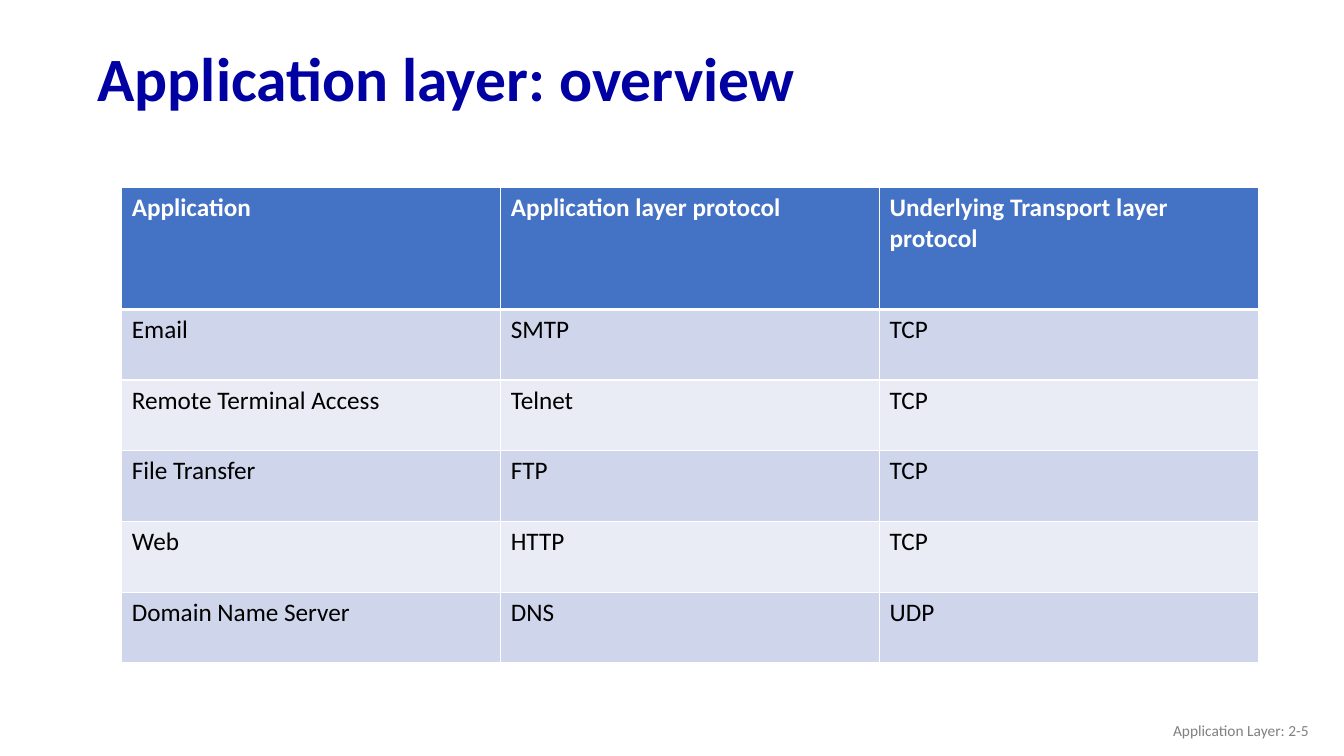
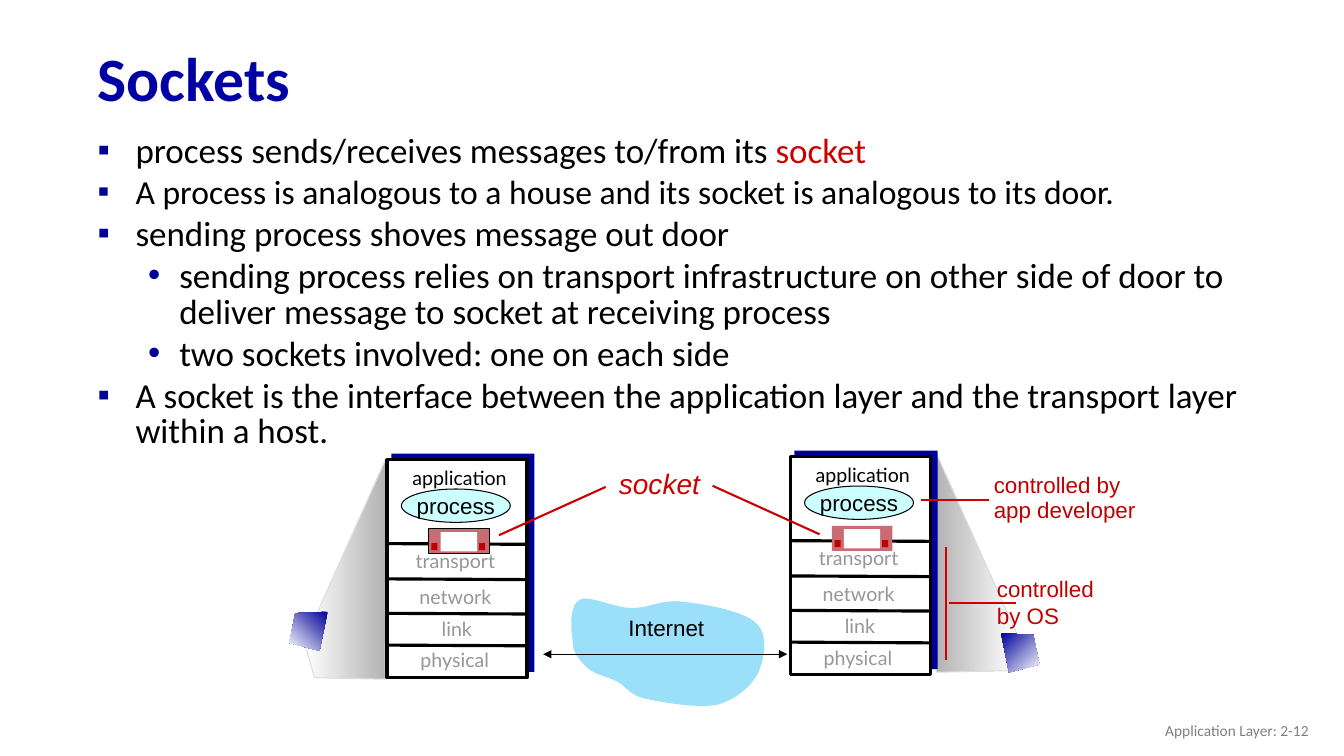
from lxml import etree
from pptx import Presentation
from pptx.dml.color import RGBColor
from pptx.enum.shapes import MSO_CONNECTOR, MSO_SHAPE
from pptx.enum.text import MSO_ANCHOR, MSO_AUTO_SIZE, PP_ALIGN
from pptx.oxml.ns import qn
from pptx.util import Pt

RECTANGLE, OVAL = MSO_SHAPE.RECTANGLE, MSO_SHAPE.OVAL
STRAIGHT = MSO_CONNECTOR.STRAIGHT
MIDDLE, TOP = MSO_ANCHOR.MIDDLE, MSO_ANCHOR.TOP
LEFT, CENTER, RIGHT = PP_ALIGN.LEFT, PP_ALIGN.CENTER, PP_ALIGN.RIGHT
NO_AUTOFIT = MSO_AUTO_SIZE.NONE
BULLET_PAGE, TITLE_PAGE = 1, 5

COLORS = {
    "title": "0000A3", "navy": "000099", "black": "000000", "white": "FFFFFF",
    "footer": "808080", "header": "4472C4", "band": "CFD5EA", "pale": "E9EBF5",
    "red": "CC0000", "crimson": "C00000", "cloud": "9CDFF9", "mint": "CCFFFF",
    "rose": "C96B72", "layer": "969696", "shade": "B2B2B2", "edge": "DDDDDD",
}
BULLETS = [("▪", 27, -27), ("•", 58.3, -22.3)]

PROTOCOLS = [
    ("Application", "Application layer protocol", "Underlying Transport layer protocol"),
    ("Email", "SMTP", "TCP"),
    ("Remote Terminal Access", "Telnet", "TCP"),
    ("File Transfer", "FTP", "TCP"),
    ("Web", "HTTP", "TCP"),
    ("Domain Name Server", "DNS", "UDP"),
]
SOCKET_POINTS = [
    (0, 25, [("process sends/receives messages to/from its ", "black"), ("socket", "red")]),
    (0, 24, [("A process is analogous to a house and its socket is analogous to its door.", "black")]),
    (0, 25, [("sending process shoves message out door", "black")]),
    (1, 25, [("sending process relies on transport infrastructure on other side of door "
              "to deliver message to socket at receiving process", "black")]),
    (1, 25, [("two sockets involved: one on each side", "black")]),
    (0, 25, [("A socket is the interface between the application layer and the transport "
              "layer within a host.", "black")]),
]
LAYERS = [("application", 0, -0.5, "black"), ("transport", -3, 58.3, "layer"),
          ("network", -3, 84.2, "layer"), ("link", -2, 107.3, "layer"),
          ("physical", -3.5, 129.6, "layer")]
LAYER_LINES = [60, 85.2, 109.8, 132.5]
CLOUD_START = (409, 456.5)
CLOUD_CURVES = [
    ((407.5, 448.6), (406.8, 432), (414, 428.4)),
    ((421.2, 424.8), (438.5, 434.2), (450.7, 434.2)),
    ((463, 434.9), (472.3, 427.7), (487.4, 429.8)),
    ((502.6, 431.3), (531.4, 436.3), (540, 445)),
    ((549.4, 452.9), (545.8, 470.9), (541.4, 481)),
    ((536.4, 490.3), (525.6, 499.7), (512.6, 503.3)),
    ((499, 506.2), (473, 501.8), (460.8, 499)),
    ((449.3, 496.1), (447.1, 490.3), (440.6, 486.7)),
    ((433.4, 483.1), (424.1, 481.7), (419, 476.6)),
    ((414, 471.6), (408.2, 465.1), CLOUD_START),
]
FAN = [(0, 0), (58.5, 131), (51, 156.5), (0.7, 157.6)]
DEVICE = [(0, 0), (23, 1), (27.4, 22.2), (5.8, 28)]


def rgb(name):
    return RGBColor.from_string(COLORS[name])


def points(*values):
    return [Pt(value) for value in values]


def smooth_outline(start, curves, steps=10):
    outline = [start]
    for first, second, end in curves:
        origin = outline[-1]
        for step in range(1, steps + 1):
            t = step / steps
            weights = ((1 - t) ** 3, 3 * t * (1 - t) ** 2, 3 * t * t * (1 - t), t ** 3)
            corners = (origin, first, second, end)
            outline.append(tuple(sum(w * corner[axis] for w, corner in zip(weights, corners))
                                 for axis in (0, 1)))
    return outline


def mirrored(outline, corner, side):
    return [(corner[0] + side * x, corner[1] + y) for x, y in outline]


class Lecture:
    """Holds the lecture style and the slide being drawn."""

    def __init__(self):
        self.deck = Presentation()
        self.deck.slide_width, self.deck.slide_height = points(960, 540)
        self.page = None

    def new_page(self, layout, title, number):
        self.page = self.deck.slides.add_slide(self.deck.slide_layouts[layout])
        box = self.page.shapes.title
        self.place(box, 62.6, 23, 828, 70.6)
        box.text_frame.auto_size = NO_AUTOFIT
        box.text_frame.vertical_anchor = MIDDLE
        box.text_frame.text = title
        self.style(box.text_frame.paragraphs[0], 44, "title", bold=True, spacing=0.9)
        self.label(f"Application Layer: {number}", (726, 507.6, 216, 28.8), 11, "footer",
                   font="Calibri", align=RIGHT, anchor=MIDDLE)

    def place(self, box, *bounds):
        box.left, box.top, box.width, box.height = points(*bounds)

    def style(self, para, size, color, font="Calibri", align=LEFT, spacing=None,
              bold=False, italic=False):
        para.alignment = align
        if spacing:
            para.line_spacing = spacing
        para.font.name, para.font.size = font, Pt(size)
        para.font.bold, para.font.italic = bold, italic
        para.font.color.rgb = rgb(color)

    def label(self, text, bounds, size, color, font="Arial", anchor=TOP, **look):
        frame = self.page.shapes.add_textbox(*points(*bounds)).text_frame
        frame.word_wrap = True
        frame.vertical_anchor = anchor
        frame.text = text
        for para in frame.paragraphs:
            self.style(para, size, color, font, **look)

    def bullets(self, items, *bounds):
        box = self.page.placeholders[1]
        self.place(box, *bounds)
        frame = box.text_frame
        frame.auto_size = NO_AUTOFIT
        for index, (level, size, spans) in enumerate(items):
            para = frame.add_paragraph() if index else frame.paragraphs[0]
            para.level = level
            para.space_before = Pt(4.5)
            symbol, margin, indent = BULLETS[level]
            properties = para._p.get_or_add_pPr()
            properties.set("marL", str(Pt(margin)))
            properties.set("indent", str(Pt(indent)))
            color = etree.SubElement(properties, qn("a:buClr"))
            etree.SubElement(color, qn("a:srgbClr"), val=COLORS["navy"])
            etree.SubElement(properties, qn("a:buFont"), typeface="Arial")
            etree.SubElement(properties, qn("a:buChar"), char=symbol)
            self.style(para, size, "black", spacing=0.85)
            for text, name in spans:
                span = para.add_run()
                span.text = text
                if name != "black":
                    span.font.color.rgb = rgb(name)

    def table(self, rows, bounds, header_height, row_height):
        grid = self.page.shapes.add_table(len(rows), len(rows[0]), *points(*bounds)).table
        for column in grid.columns:
            column.width = Pt(bounds[2] / len(rows[0]))
        for index, texts in enumerate(rows):
            grid.rows[index].height = Pt(row_height if index else header_height)
            fill = ("pale", "band")[index % 2] if index else "header"
            for column, text in enumerate(texts):
                cell = grid.cell(index, column)
                cell.text = text
                self.borders(cell, top=3 if index == 1 else 1, bottom=1 if index else 3)
                cell.fill.solid()
                cell.fill.fore_color.rgb = rgb(fill)
                self.style(cell.text_frame.paragraphs[0], 18,
                           "black" if index else "white", bold=not index)

    def borders(self, cell, top, bottom):
        properties = cell._tc.get_or_add_tcPr()
        for tag, width in (("lnL", 1), ("lnR", 1), ("lnT", top), ("lnB", bottom)):
            border = etree.SubElement(properties, qn(f"a:{tag}"), w=str(Pt(width)))
            fill = etree.SubElement(border, qn("a:solidFill"))
            etree.SubElement(fill, qn("a:srgbClr"), val=COLORS["white"])

    def paint(self, box, fill, line=None, width=0.75):
        box.shadow.inherit = False
        if fill:
            box.fill.solid()
            box.fill.fore_color.rgb = rgb(fill)
        if line:
            box.line.color.rgb = rgb(line)
            box.line.width = Pt(width)
        else:
            box.line.fill.background()

    def shape(self, kind, bounds, fill, line=None, width=0.75):
        box = self.page.shapes.add_shape(kind, *points(*bounds))
        self.paint(box, fill, line, width)
        return box

    def outline(self, corners, fill=None, line=None, gradient=None, angle=0):
        start, *others = [points(*corner) for corner in corners]
        builder = self.page.shapes.build_freeform(*start)
        builder.add_line_segments(others, close=True)
        box = builder.convert_to_shape()
        self.paint(box, fill, line)
        if gradient:
            box.fill.gradient()
            box.fill.gradient_angle = angle
            for stop, name in zip(box.fill.gradient_stops, gradient):
                stop.color.rgb = rgb(name)

    def line(self, start, end, color="red", width=1.5, arrows=False):
        link = self.page.shapes.add_connector(STRAIGHT, *points(*start, *end))
        link.line.color.rgb = rgb(color)
        link.line.width = Pt(width)
        if arrows:
            stroke = link.line._get_or_add_ln()
            for tag in ("a:headEnd", "a:tailEnd"):
                etree.SubElement(stroke, qn(tag), type="triangle")
        etree.SubElement(link._element.spPr, qn("a:effectLst"))

    def host(self, x, y, socket_line):
        self.shape(RECTANGLE, (x + 3, y - 4.3, 102.2, 156), "navy")
        self.shape(RECTANGLE, (x, y, 100, 155.5), "white", "black", 2.25)
        for drop in LAYER_LINES:
            self.line((x, y + drop), (x + 100, y + drop + 0.5), "black", 2.25)
        for name, shift, drop, color in LAYERS:
            self.label(name, (x + shift, y + drop, 103.7, 26), 14, color,
                       font="Lato", align=CENTER, spacing=1.1)
        process = self.shape(OVAL, (x + 10.2, y + 21, 77.8, 23.8), "mint", "black")
        frame = process.text_frame
        frame.word_wrap = False
        frame.vertical_anchor = MIDDLE
        frame.text = "process"
        self.style(frame.paragraphs[0], 16, "black", "Arial", CENTER)
        left, top = x + 29.7, y + 49.4
        self.shape(RECTANGLE, (left, top, 43.2, 18), "rose", socket_line)
        self.shape(RECTANGLE, (left + 8.6, top + 2.4, 26, 13.7), "white")
        for shift in (2, 36):
            self.shape(RECTANGLE, (left + shift, top + 10.3, 4.3, 5), "crimson")


def overview(lecture):
    lecture.new_page(TITLE_PAGE, "Application layer: overview", "2-5")
    lecture.table(PROTOCOLS, (87, 134, 812, 339), 87, 50.5)


def sockets(lecture):
    lecture.new_page(BULLET_PAGE, "Sockets", "2-12")
    lecture.bullets(SOCKET_POINTS, 62.6, 93, 863, 235)
    for corner, side, angle in (((668.2, 322.6), 1, 180), ((275.8, 327.6), -1, 0)):
        lecture.outline(mirrored(FAN, corner, side), line="edge",
                        gradient=("white", "shade"), angle=angle)
    lecture.outline(smooth_outline(CLOUD_START, CLOUD_CURVES), "cloud")
    lecture.label("Internet", (436, 435, 80, 26.6), 16, "black", align=CENTER)
    lecture.line((388, 467.3), (562.3, 467.3), "black", 0.75, arrows=True)
    lecture.label("controlled\nby OS", (705, 407, 95, 65), 16, "crimson")
    lecture.label("controlled by\napp developer", (702.8, 335.5, 125, 42), 16, "crimson",
                  spacing=0.9)
    lecture.host(276.5, 328.3, "black")
    lecture.host(564.5, 326.2, None)
    lecture.line((706.3, 357), (658, 357))
    lecture.line((676, 391), (676, 471.6))
    lecture.line((725.8, 430.6), (678.2, 430.6))
    lecture.label("socket", (435, 332.6, 80, 29), 20, "red", italic=True, spacing=0.9)
    lecture.line((356.4, 382.3), (432.7, 347.8))
    lecture.line((585.4, 381.6), (509, 347))
    for corner, side, angle in (((234, 437), -1, 225), ((715, 452.4), 1, 315)):
        lecture.outline(mirrored(DEVICE, corner, side),
                        gradient=("navy", "white"), angle=angle)


def main():
    lecture = Lecture()
    overview(lecture)
    sockets(lecture)
    lecture.deck.save("out.pptx")


if __name__ == "__main__":
    main()
